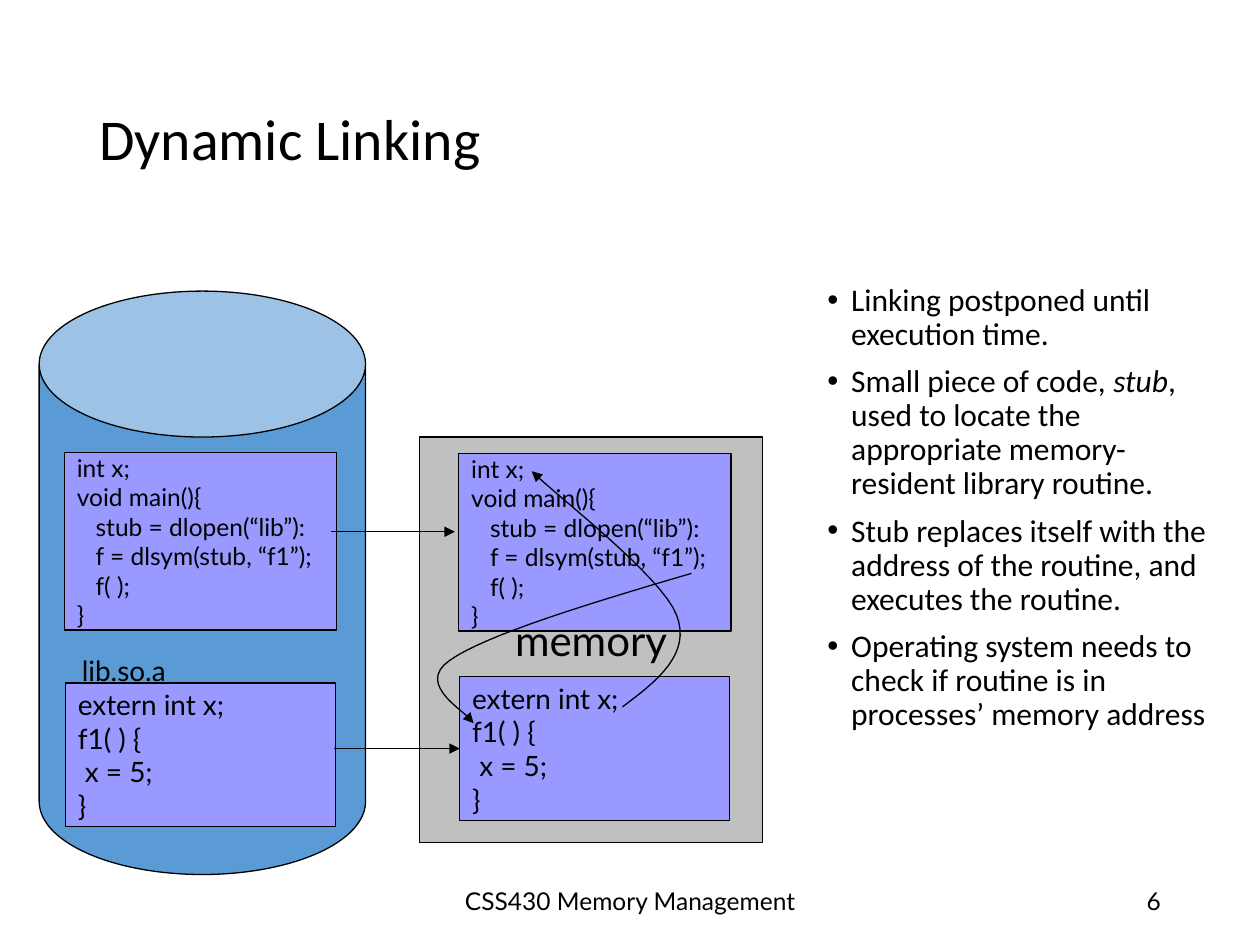
"""Build the Dynamic Linking slide: a library on disk, its copy in memory and notes."""
from lxml.etree import SubElement
from pptx import Presentation
from pptx.dml.color import RGBColor
from pptx.enum.shapes import MSO_CONNECTOR, MSO_SHAPE
from pptx.enum.text import MSO_ANCHOR, PP_ALIGN
from pptx.oxml.ns import qn
from pptx.util import Cm, Pt

BLACK, DISK, CODE, MEMORY = "000000", "5B9BD5", "9999FF", "C0C0C0"

MAIN = ["int x;", "void main(){", "   stub = dlopen(“lib”):",
        "   f = dlsym(stub, “f1”);", "   f( );", "}"]
F1 = ["extern int x;", "f1( ) {", " x = 5;", "}"]
NOTES = [
    [("Linking postponed until execution time.", False)],
    [("Small piece of code, ", False), ("stub", True),
     (", used to locate the appropriate memory-resident library routine.", False)],
    [("Stub replaces itself with the address of the routine, and executes the routine.", False)],
    [("Operating system needs to check if routine is in processes’ memory address", False)],
]
MAIN_SIZE, F1_SIZE = (5.49, 3.58), (5.44, 2.9)
X_ACCESS = [(12.55, 14.25), (13.26, 13.72), (13.94, 13.18), (13.64, 12.4),
            (13.34, 11.61), (11.2, 9.98), (10.72, 9.5)]
F1_CALL = [(13.94, 11.56), (11.86, 12.17), (9.8, 12.8), (9.07, 13.31),
           (8.33, 13.82), (9.47, 14.38), (9.55, 14.58)]
STEPS = 16


def rgb(color):
    return RGBColor.from_string(color)


def write(sp, paras, size, font="Lato", align=PP_ALIGN.LEFT, anchor=MSO_ANCHOR.MIDDLE,
          wrap=False, spacing=None, before=0, bullet=False):
    tf = sp.text_frame
    tf.word_wrap, tf.vertical_anchor = wrap, anchor
    for i, runs in enumerate(paras):
        p = tf.paragraphs[0] if i == 0 else tf.add_paragraph()
        p.alignment = align
        if spacing:
            p.line_spacing = spacing
        if i and before:
            p.space_before = Pt(before)
        if bullet:
            pPr = p._p.get_or_add_pPr()
            pPr.set("marL", str(Cm(0.48)))
            pPr.set("indent", str(-Cm(0.48)))
            SubElement(pPr, qn("a:buFont"), typeface="Arial")
            SubElement(pPr, qn("a:buChar"), char="•")
        for text, italic in [(runs, False)] if isinstance(runs, str) else runs:
            r = p.add_run()
            r.text = text
            r.font.name, r.font.size, r.font.italic = font, Pt(size), italic
            r.font.color.rgb = rgb(BLACK)


def add_text(s, box, paras, size, **style):
    write(s.shapes.add_textbox(*map(Cm, box)), paras, size, **style)


def outline(sp):
    sp.line.color.rgb = rgb(BLACK)
    sp.line.width = Pt(0.75)


def add_box(s, kind, box, fill):
    sp = s.shapes.add_shape(kind, *map(Cm, box))
    sp.shadow.inherit = False
    sp.fill.solid()
    sp.fill.fore_color.rgb = rgb(fill)
    outline(sp)
    return sp


def add_code(s, left, top, size, lines, points):
    sp = add_box(s, MSO_SHAPE.RECTANGLE, (left, top, *size), CODE)
    write(sp, lines, points)
    return sp


def add_head(sp):
    SubElement(sp.line._get_or_add_ln(), qn("a:tailEnd"), type="triangle")


def add_arrow(s, x1, x2, y, target=None):
    cn = s.shapes.add_connector(MSO_CONNECTOR.STRAIGHT, Cm(x1), Cm(y), Cm(x2), Cm(y))
    if target:
        cn.end_connect(target, 1)
    outline(cn)
    add_head(cn)
    SubElement(cn._element.spPr, qn("a:effectLst"))


def bezier(a, b, c, d, t):
    u = 1 - t
    return tuple(Cm(u**3 * i + 3 * u * u * t * j + 3 * u * t * t * k + t**3 * m)
                 for i, j, k, m in zip(a, b, c, d))


def add_curve(s, knots):
    points = [bezier(*knots[i:i + 4], n / STEPS)
              for i in range(0, len(knots) - 1, 3) for n in range(1, STEPS + 1)]
    fb = s.shapes.build_freeform(*map(Cm, knots[0]))
    fb.add_line_segments(points, close=False)
    sp = fb.convert_to_shape()
    sp.shadow.inherit = False
    sp.fill.background()
    outline(sp)
    add_head(sp)


def main():
    prs = Presentation()
    prs.slide_width, prs.slide_height = Cm(25.4), Cm(19.05)
    s = prs.slides.add_slide(prs.slide_layouts[6])

    add_text(s, (1.75, 1.02, 21.89, 3.68), ["Dynamic Linking"], 33,
             font="Calibri", wrap=True, spacing=0.9)
    add_text(s, (16.43, 5.61, 8.43, 11.43), NOTES, 18, font="Calibri", wrap=True,
             anchor=MSO_ANCHOR.TOP, spacing=0.9, before=7.5, bullet=True)
    add_text(s, (8.41, 17.65, 8.59, 1.02), ["CSS430 Memory Management"], 14,
             align=PP_ALIGN.CENTER, wrap=True)
    add_text(s, (17.93, 17.65, 5.72, 1.02), ["6"], 14, align=PP_ALIGN.RIGHT, wrap=True)

    disk = add_box(s, MSO_SHAPE.CAN, (0.79, 5.87, 6.58, 11.76), DISK)
    disk.adjustments[0] = 0.447
    add_code(s, 1.3, 9.12, MAIN_SIZE, MAIN, 14)
    add_code(s, 1.32, 13.77, F1_SIZE, F1, 16)
    add_text(s, (1.4, 13.06, 2.29, 0.94), ["lib.so.a"], 16, anchor=MSO_ANCHOR.TOP)

    memory = add_box(s, MSO_SHAPE.RECTANGLE, (8.46, 8.81, 6.91, 8.18), MEMORY)
    write(memory, ["memory"], 24, align=PP_ALIGN.CENTER)
    add_code(s, 9.25, 9.14, MAIN_SIZE, MAIN, 14)
    add_arrow(s, 6.68, 9.17, 10.72)
    loaded_f1 = add_code(s, 9.27, 13.64, F1_SIZE, F1, 16)
    add_arrow(s, 6.73, 9.27, 13.64 + F1_SIZE[1] / 2, loaded_f1)
    for knots in (X_ACCESS, F1_CALL):
        add_curve(s, knots)

    prs.save("out.pptx")


if __name__ == "__main__":
    main()
